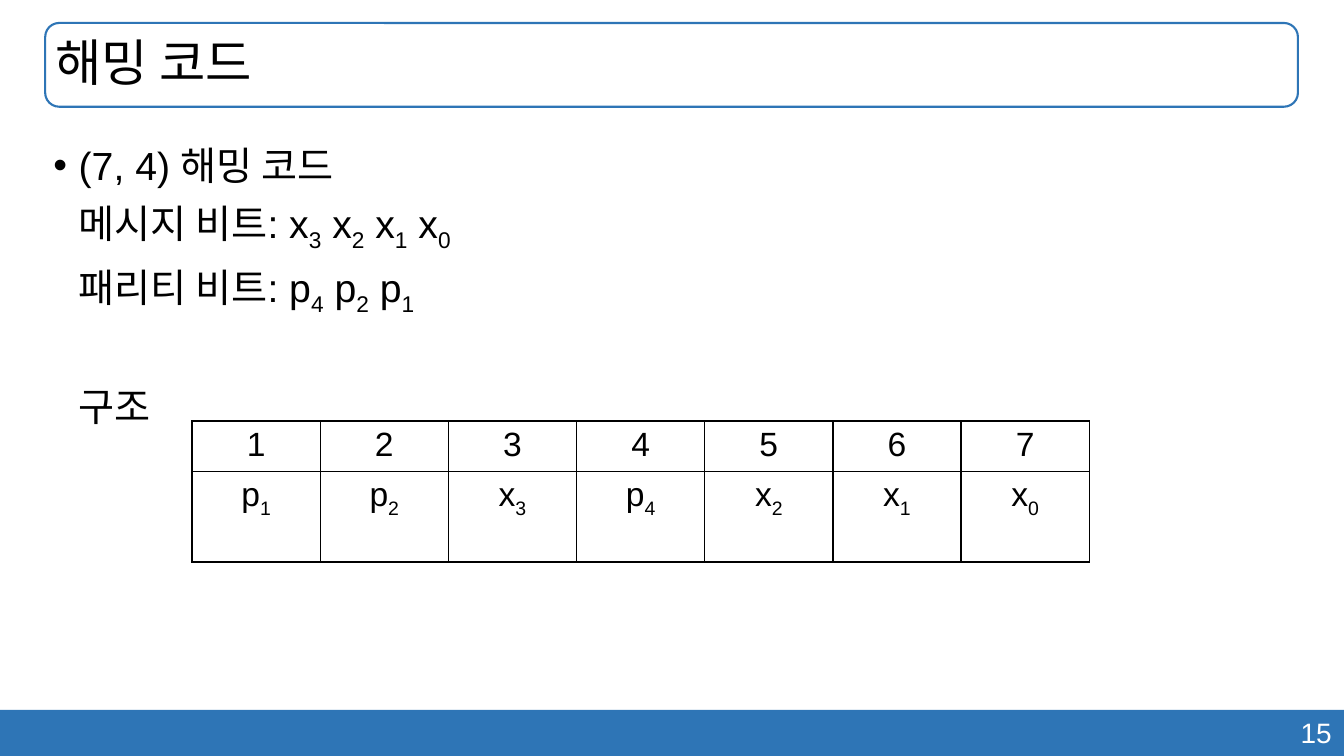
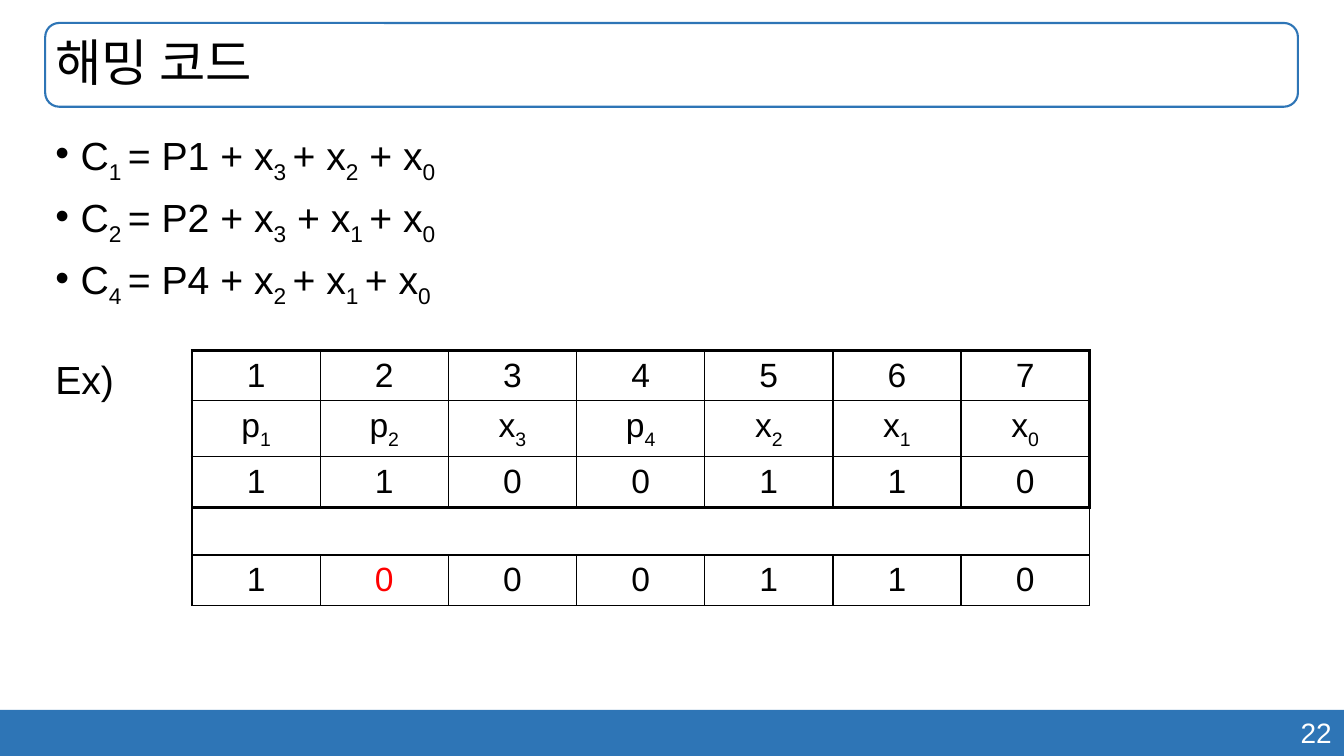
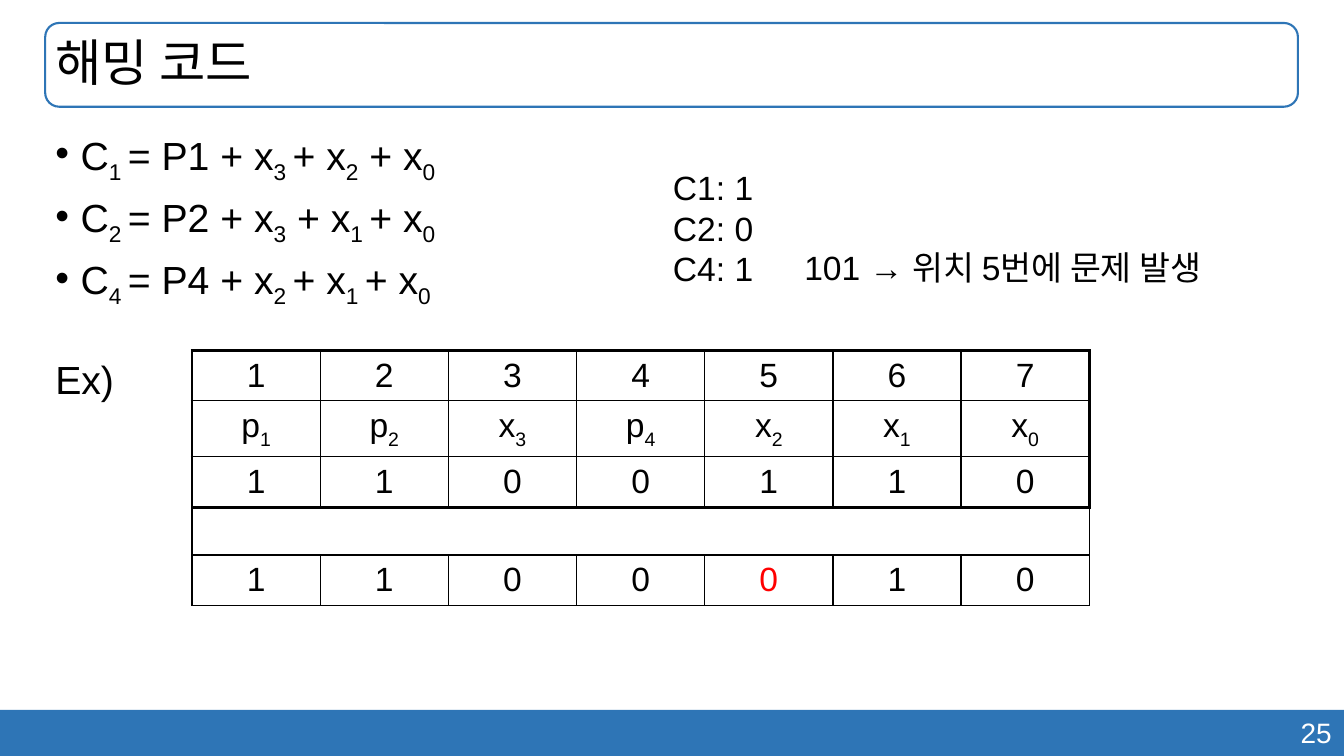
"""Build three slides that explain the (7, 4) Hamming code."""
from dataclasses import dataclass
from typing import Optional

import lxml.etree
import pptx
import pptx.dml.color
import pptx.enum.shapes
import pptx.enum.text
import pptx.oxml.ns
import pptx.presentation
import pptx.shapes.autoshape
import pptx.slide
import pptx.table
import pptx.text.text
import pptx.util

Cm = pptx.util.Cm
Pt = pptx.util.Pt
Align = pptx.enum.text.PP_ALIGN
Anchor = pptx.enum.text.MSO_ANCHOR

BLUE, BLACK, WHITE, RED = "2E75B6", "000000", "FFFFFF", "FF0000"
FONT = "Arial"
TITLE = "해밍 코드"
SLIDE_WIDTH, SLIDE_HEIGHT = 33.87, 19.05
BAND_TOP = 17.89
TITLE_BOX = (1.14, 0.58, 31.57, 2.11)
TABLE_LEFT, COLUMN_WIDTH = 4.84, 3.23
THIN, THICK = 1, 2.25
INDENT = 0.64

POSITIONS = list("1234567")
SYMBOLS = ["p{1}", "p{2}", "x{3}", "p{4}", "x{2}", "x{1}", "x{0}"]
SENT = list("1100110")


@dataclass(frozen=True)
class Line:
    """One line of the body, with subscripts in braces."""

    text: str
    bullet: bool = False
    indent: float = 0
    before: float = 0


@dataclass(frozen=True)
class Note:
    """A free note beside the equations."""

    lines: tuple[str, ...]
    box: tuple[float, float, float, float]


@dataclass(frozen=True)
class CodeTable:
    """Rows of a code word, with an optional heavy frame and flipped bit."""

    top: float
    heights: tuple[float, ...]
    rows: tuple[list[str], ...]
    framed_rows: int = 0
    flipped: Optional[int] = None
    anchor: Anchor = Anchor.MIDDLE


@dataclass(frozen=True)
class Lesson:
    """Everything that differs between the slides."""

    number: int
    body_left: float
    line_spacing: float
    lines: tuple[Line, ...]
    table: CodeTable
    notes: tuple[Note, ...] = ()


def rgb(color: str) -> pptx.dml.color.RGBColor:
    """Turn a hex string into a colour."""
    return pptx.dml.color.RGBColor.from_string(color)


def write(paragraph: pptx.text.text._Paragraph, text: str, *, size: float, color: str = BLACK,
          align: Align = Align.LEFT, spacing: float = 1, before: float = 0,
          indent: float = 0, bullet: bool = False) -> None:
    """Fill a paragraph with formatted text; braces hold subscripts."""
    properties = paragraph._p.get_or_add_pPr()
    properties.set("marL", str(Cm(indent)))
    properties.set("indent", str(-Cm(indent) if bullet else 0))
    mark = lxml.etree.SubElement(properties, pptx.oxml.ns.qn("a:buChar" if bullet else "a:buNone"))
    if bullet:
        mark.set("char", "•")
    paragraph.alignment = align
    paragraph.line_spacing = spacing
    paragraph.space_before = Pt(before)
    for index, part in enumerate(text.replace("}", "{").split("{")):
        if not part:
            continue
        run = paragraph.add_run()
        run.text = part
        run.font.name = FONT
        run.font.size = Pt(size)
        run.font.color.rgb = rgb(color)
        if index % 2:
            run._r.get_or_add_rPr().set("baseline", "-25000")


def next_paragraph(frame: pptx.text.text.TextFrame, index: int) -> pptx.text.text._Paragraph:
    """Return the first paragraph of a frame, or a new one after it."""
    return frame.add_paragraph() if index else frame.paragraphs[0]


def place(shape: pptx.shapes.autoshape.Shape, box: tuple[float, float, float, float]) -> None:
    """Move and size a shape, in centimetres."""
    shape.left, shape.top, shape.width, shape.height = map(Cm, box)


def add_frame(slide: pptx.slide.Slide, number: int) -> None:
    """Draw the footer band, the page number and the framed title."""
    shapes = slide.shapes
    kinds = pptx.enum.shapes.MSO_SHAPE
    band = shapes.add_shape(kinds.RECTANGLE, 0, Cm(BAND_TOP), Cm(SLIDE_WIDTH), Cm(SLIDE_HEIGHT - BAND_TOP))
    band.fill.solid()
    band.fill.fore_color.rgb = rgb(BLUE)
    band.line.fill.background()
    outline = shapes.add_shape(kinds.ROUNDED_RECTANGLE, *map(Cm, TITLE_BOX))
    outline.fill.background()
    outline.line.color.rgb = rgb(BLUE)
    outline.line.width = Pt(1.5)
    for shape in (band, outline):
        shape.shadow.inherit = False

    page = shapes.add_textbox(Cm(23.9), Cm(17.9), Cm(9.91), Cm(1.11)).text_frame
    page.word_wrap = True
    write(page.paragraphs[0], str(number), size=20, color=WHITE, align=Align.RIGHT)

    place(shapes.title, TITLE_BOX)
    heading = shapes.title.text_frame
    heading.vertical_anchor = Anchor.MIDDLE
    heading.auto_size = pptx.enum.text.MSO_AUTO_SIZE.NONE
    write(heading.paragraphs[0], TITLE, size=36, spacing=0.9)


def add_body(slide: pptx.slide.Slide, lesson: Lesson) -> None:
    """Write the lesson's lines into the body placeholder."""
    body = slide.placeholders[1]
    place(body, (lesson.body_left, 3.2, 31.57, 14.05))
    body.text_frame.auto_size = pptx.enum.text.MSO_AUTO_SIZE.NONE
    for index, line in enumerate(lesson.lines):
        write(next_paragraph(body.text_frame, index), line.text, size=28, spacing=lesson.line_spacing,
              before=line.before, indent=line.indent, bullet=line.bullet)


def set_borders(cell: pptx.table._Cell, widths: dict[str, float]) -> None:
    """Set the border widths of a cell, where zero means no line."""
    properties = cell._tc.get_or_add_tcPr()
    qn = pptx.oxml.ns.qn
    for side, width in widths.items():
        border = lxml.etree.SubElement(properties, qn(f"a:ln{side}"), w=str(Pt(width)))
        if width:
            fill = lxml.etree.SubElement(border, qn("a:solidFill"))
            lxml.etree.SubElement(fill, qn("a:srgbClr"), val=BLACK)
        else:
            lxml.etree.SubElement(border, qn("a:noFill"))


def add_code_table(slide: pptx.slide.Slide, code: CodeTable) -> None:
    """Draw the table of bit positions, symbols and values."""
    last_row, last_column = len(code.rows) - 1, len(POSITIONS) - 1
    table = slide.shapes.add_table(
        len(code.rows), len(POSITIONS), Cm(TABLE_LEFT), Cm(code.top),
        Cm(COLUMN_WIDTH * len(POSITIONS)), Cm(sum(code.heights))).table
    table.first_row = table.horz_banding = False
    for column in table.columns:
        column.width = Cm(COLUMN_WIDTH)
    for r, (values, height) in enumerate(zip(code.rows, code.heights)):
        table.rows[r].height = Cm(height)
        framed = r < code.framed_rows
        outer = THICK if framed else THIN
        inner = THIN if any(values) else 0
        for c, value in enumerate(values):
            cell = table.cell(r, c)
            set_borders(cell, {
                "L": inner if c else outer,
                "R": inner if c < last_column else outer,
                "T": THICK if code.framed_rows and r in (0, code.framed_rows) else THIN,
                "B": THICK if framed and r == code.framed_rows - 1 else THIN,
            })
            cell.fill.background()
            cell.vertical_anchor = code.anchor
            flipped = r == last_row and c == code.flipped
            write(cell.text_frame.paragraphs[0], value, size=24,
                  color=RED if flipped else BLACK, align=Align.CENTER)


def add_note(slide: pptx.slide.Slide, note: Note) -> None:
    """Write a note that does not wrap."""
    frame = slide.shapes.add_textbox(*map(Cm, note.box)).text_frame
    frame.word_wrap = False
    for index, line in enumerate(note.lines):
        write(next_paragraph(frame, index), line, size=24)


def add_lesson(deck: pptx.presentation.Presentation, lesson: Lesson) -> None:
    """Add one complete slide."""
    slide = deck.slides.add_slide(deck.slide_layouts[1])
    add_frame(slide, lesson.number)
    add_body(slide, lesson)
    add_code_table(slide, lesson.table)
    for note in lesson.notes:
        add_note(slide, note)


def received_table(received: str, flipped: int) -> CodeTable:
    """Compare the sent word with a received word that has one flipped bit."""
    rows = (POSITIONS, SYMBOLS, SENT, [""] * len(POSITIONS), list(received))
    return CodeTable(8.83, (1.2, 1.32, 1.2, 1.2, 1.2), rows, framed_rows=3, flipped=flipped)


STRUCTURE = (
    Line("(7, 4) 해밍 코드", bullet=True, indent=INDENT),
    Line("메시지 비트: x{3} x{2} x{1} x{0}", indent=INDENT),
    Line("패리티 비트: p{4} p{2} p{1}", indent=INDENT),
    Line("구조", indent=INDENT, before=40),
)
CHECKS = (
    Line("C{1 }= P1 + x{3 }+ x{2} + x{0}", bullet=True, indent=INDENT),
    Line("C{2 }= P2 + x{3} + x{1 }+ x{0}", bullet=True, indent=INDENT, before=10),
    Line("C{4 }= P4 + x{2 }+ x{1 }+ x{0}", bullet=True, indent=INDENT, before=10),
    Line("Ex)", before=40),
)
LESSONS = (
    Lesson(15, 1.09, 1.2, STRUCTURE,
           CodeTable(10.61, (1.2, 2.28), (POSITIONS, SYMBOLS), anchor=Anchor.TOP)),
    Lesson(22, 1.14, 0.9, CHECKS, received_table("1000110", 1)),
    Lesson(25, 1.14, 0.9, CHECKS, received_table("1100010", 4), (
        Note(("C1: 1", "C2: 0", "C4: 1"), (16.71, 4.09, 2.79, 3.33)),
        Note(("101 → 위치 5번에 문제 발생",), (20.02, 6.1, 11.28, 1.27)),
    )),
)


def main() -> None:
    """Build and save the deck."""
    deck = pptx.Presentation()
    deck.slide_width, deck.slide_height = Cm(SLIDE_WIDTH), Cm(SLIDE_HEIGHT)
    for lesson in LESSONS:
        add_lesson(deck, lesson)
    deck.save("out.pptx")


if __name__ == "__main__":
    main()
